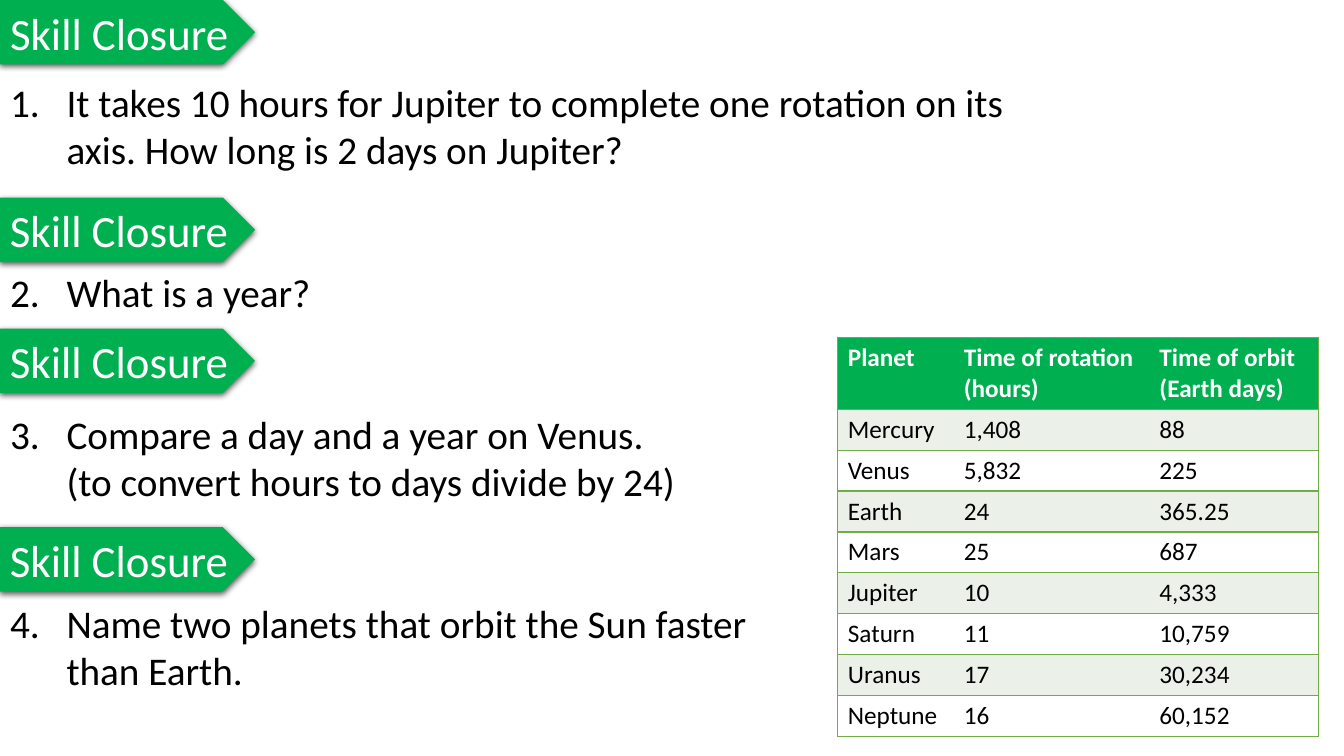
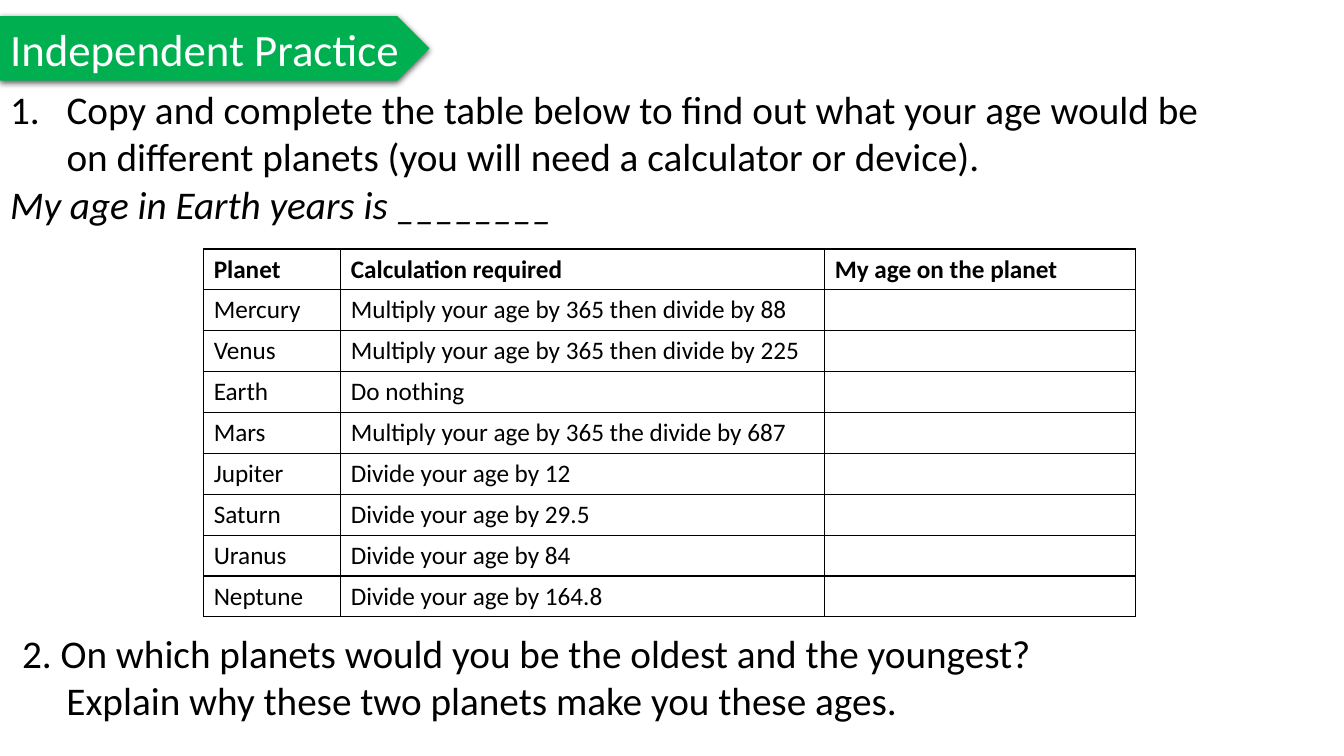
from lxml.etree import SubElement
from pptx import Presentation
from pptx.dml.color import RGBColor
from pptx.enum.shapes import MSO_SHAPE
from pptx.enum.text import MSO_ANCHOR, MSO_AUTO_SIZE, PP_ALIGN
from pptx.oxml.ns import qn
from pptx.util import Inches, Pt

COLORS = {"green": "00B050", "rule": "70AD47", "band": "EBF1E9",
          "white": "FFFFFF", "black": "000000"}
FONT = "Calibri"
BANNER_SIZE, BODY_SIZE, TABLE_SIZE = 32, 28, 18
BANNER_HEIGHT = 0.64
ROW_HEIGHT = 0.4
LIST_INDENT = 0.56

PLANETS = ["Mercury", "Venus", "Earth", "Mars",
           "Jupiter", "Saturn", "Uranus", "Neptune"]
ROTATIONS = ["1,408", "5,832", "24", "25", "10", "11", "17", "16"]
ORBITS = ["88", "225", "365.25", "687", "4,333", "10,759", "30,234", "60,152"]
CALCULATIONS = [
    "Multiply your age by 365 then divide by 88",
    "Multiply your age by 365 then divide by 225",
    "Do nothing",
    "Multiply your age by 365 the divide by 687",
    "Divide your age by 12",
    "Divide your age by 29.5",
    "Divide your age by 84",
    "Divide your age by 164.8",
]
QUESTIONS = [
    "It takes 10 hours for Jupiter to complete one rotation on its axis. "
    "How long is 2 days on Jupiter?",
    "What is a year?",
    "Compare a day and a year on Venus.\n(to convert hours to days divide by 24)",
    "Name two planets that orbit the Sun faster\nthan Earth.",
]


def rgb(name):
    return RGBColor.from_string(COLORS[name])


class Lesson:
    def __init__(self):
        self.deck = Presentation()
        self.deck.slide_width, self.deck.slide_height = Inches(13.33), Inches(7.5)
        self.slide = None

    def new_slide(self):
        self.slide = self.deck.slides.add_slide(self.deck.slide_layouts[1])

    def add_text(self, paragraph, text, size, color="black", bold=False, italic=False):
        """Add one run per line of text, with line breaks between them."""
        paragraph.alignment = PP_ALIGN.LEFT
        for number, line in enumerate(text.split("\n")):
            if number:
                paragraph.add_line_break()
            run = paragraph.add_run()
            run.text = line
            font = run.font
            font.name, font.size = FONT, Pt(size)
            font.bold, font.italic = bold, italic
            font.color.rgb = rgb(color)

    def place(self, shape, left, top, width, height):
        shape.left, shape.top = Inches(left), Inches(top)
        shape.width, shape.height = Inches(width), Inches(height)

    def banner(self, text, top, width, is_title=False):
        """Draw a green pointer; the slide title lies over it as a placeholder."""
        pointer = self.slide.shapes.add_shape(
            MSO_SHAPE.PENTAGON, 0, Inches(top), Inches(width), Inches(BANNER_HEIGHT))
        pointer.fill.solid()
        pointer.fill.fore_color.rgb = rgb("green")
        pointer.line.fill.background()
        self.drop_shadow(pointer)
        label = pointer
        if is_title:
            label = self.slide.shapes.title
            self.place(label, 0, top, width, BANNER_HEIGHT)
            pointer._element.addnext(label._element)
        frame = label.text_frame
        frame.word_wrap = False
        frame.auto_size = MSO_AUTO_SIZE.NONE
        frame.vertical_anchor = MSO_ANCHOR.MIDDLE
        frame.margin_right = 0
        self.add_text(frame.paragraphs[0], text, BANNER_SIZE, "white")

    def drop_shadow(self, shape):
        shape.shadow.inherit = False
        effects = shape._element.spPr.find(qn("a:effectLst"))
        shadow = SubElement(effects, qn("a:outerShdw"), blurRad=str(Pt(4.5)),
                            dist=str(Pt(1.5)), dir="5400000", rotWithShape="0")
        tint = SubElement(shadow, qn("a:srgbClr"), val=COLORS["black"])
        SubElement(tint, qn("a:alpha"), val="63000")

    def indent(self, paragraph, left, first=0):
        properties = paragraph._p.get_or_add_pPr()
        properties.set("marL", str(Inches(left)))
        properties.set("indent", str(Inches(first)))
        return properties

    def body(self, top, width, height):
        holder = self.slide.placeholders[1]
        self.place(holder, 0, top, width, height)
        frame = holder.text_frame
        frame.word_wrap = True
        frame.auto_size = MSO_AUTO_SIZE.NONE
        frame.vertical_anchor = MSO_ANCHOR.TOP
        return frame

    def numbered(self, frame, items, gap=0):
        for number, item in enumerate(items):
            paragraph = frame.add_paragraph() if number else frame.paragraphs[0]
            properties = self.indent(paragraph, LIST_INDENT, -LIST_INDENT)
            SubElement(properties, qn("a:buFont"), typeface=FONT)
            SubElement(properties, qn("a:buAutoNum"), type="arabicPeriod")
            paragraph.space_before = Pt(gap if number else 0)
            self.add_text(paragraph, item, BODY_SIZE)

    def plain_line(self, frame, text):
        paragraph = frame.add_paragraph()
        SubElement(self.indent(paragraph, 0), qn("a:buNone"))
        paragraph.space_before = Pt(0)
        self.add_text(paragraph, text, BODY_SIZE, italic=True)

    def question(self, text, left, top, width, height, hanging):
        box = self.slide.shapes.add_textbox(
            Inches(left), Inches(top), Inches(width), Inches(height))
        frame = box.text_frame
        frame.word_wrap = True
        for number, line in enumerate(text.split("\n")):
            paragraph = frame.add_paragraph() if number else frame.paragraphs[0]
            self.indent(paragraph, hanging if number else 0)
            self.add_text(paragraph, line, BODY_SIZE)

    def border(self, cell, side, color):
        line = SubElement(cell._tc.get_or_add_tcPr(), qn(f"a:ln{side}"), w=str(Pt(1)))
        if color is None:
            SubElement(line, qn("a:noFill"))
        else:
            fill = SubElement(line, qn("a:solidFill"))
            SubElement(fill, qn("a:srgbClr"), val=COLORS[color])

    def table(self, rows, left, top, widths, header_height, rule,
              fills=None, header_color="black", inner_verticals=True):
        """Fills are the header colour and the two colours of the bands."""
        heights = [header_height] + [ROW_HEIGHT] * (len(rows) - 1)
        grid = self.slide.shapes.add_table(
            len(rows), len(widths), Inches(left), Inches(top),
            Inches(sum(widths)), Inches(sum(heights))).table
        grid.horz_banding = False
        for column, width in zip(grid.columns, widths):
            column.width = Inches(width)
        last = len(widths) - 1
        for r, values in enumerate(rows):
            grid.rows[r].height = Inches(heights[r])
            for c, value in enumerate(values):
                cell = grid.cell(r, c)
                self.border(cell, "L", rule if inner_verticals or c == 0 else None)
                self.border(cell, "R", rule if inner_verticals or c == last else None)
                self.border(cell, "T", rule)
                self.border(cell, "B", rule)
                if fills:
                    cell.fill.solid()
                    cell.fill.fore_color.rgb = rgb(
                        fills[0] if r == 0 else fills[2 - r % 2])
                else:
                    cell.fill.background()
                if value:
                    self.add_text(cell.text_frame.paragraphs[0], value, TABLE_SIZE,
                                  "black" if r else header_color, bold=r == 0)


def skill_closure(lesson):
    lesson.new_slide()
    questions = lesson.body(0.73, 10.39, 6.23)
    lesson.numbered(questions, QUESTIONS, gap=68)
    header = ("Planet", "Time of rotation (hours)", "Time of orbit (Earth days)")
    lesson.table([header, *zip(PLANETS, ROTATIONS, ORBITS)], 8.31, 3.35,
                 [1.15, 1.94, 1.68], 0.7, "rule", ("green", "band", "white"),
                 "white", inner_verticals=False)
    for number, top in enumerate((0, 1.96, 3.26, 5.23)):
        lesson.banner("Skill Closure", top, 2.53, is_title=number == 0)


def independent_practice(lesson):
    lesson.new_slide()
    lesson.banner("Independent Practice", 0.16, 4.26, is_title=True)
    task = lesson.body(0.8, 12.08, 1.6)
    lesson.numbered(task, [
        "Copy and complete the table below to find out what your age would be "
        "on different planets (you will need a calculator or device)."])
    lesson.plain_line(task, "My age in Earth years is ________")
    header = ("Planet", "Calculation required", "My age on the planet")
    answers = [""] * len(PLANETS)
    lesson.table([header, *zip(PLANETS, CALCULATIONS, answers)], 2.02, 2.47,
                 [1.36, 4.8, 3.08], ROW_HEIGHT, "black")
    lesson.question("2. On which planets would you be the oldest and the youngest?\n"
                    "Explain why these two planets make you these ages.",
                    0.12, 6.19, 12.08, 1.04, hanging=0.44)


def main():
    lesson = Lesson()
    skill_closure(lesson)
    independent_practice(lesson)
    lesson.deck.save("out.pptx")


if __name__ == "__main__":
    main()
